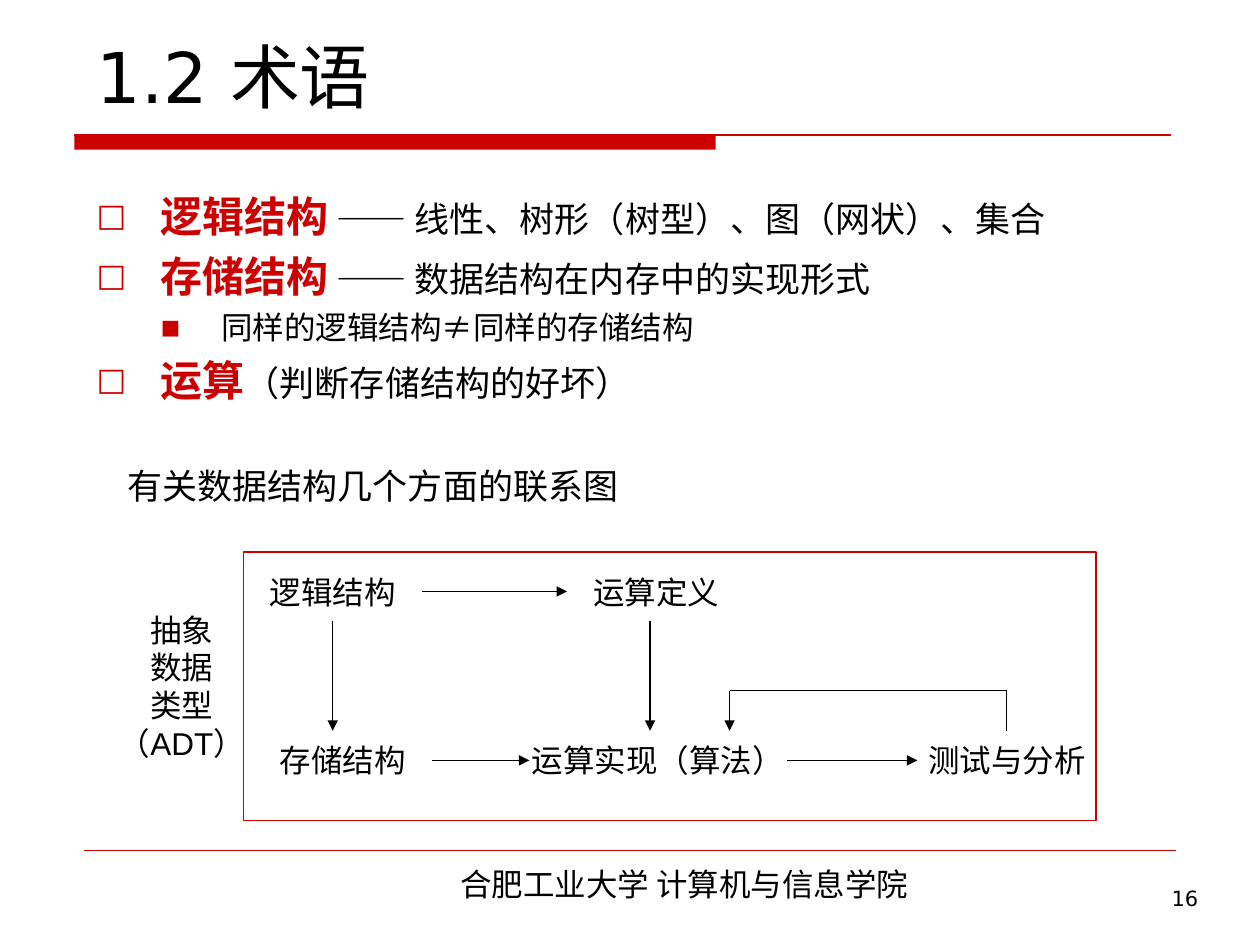
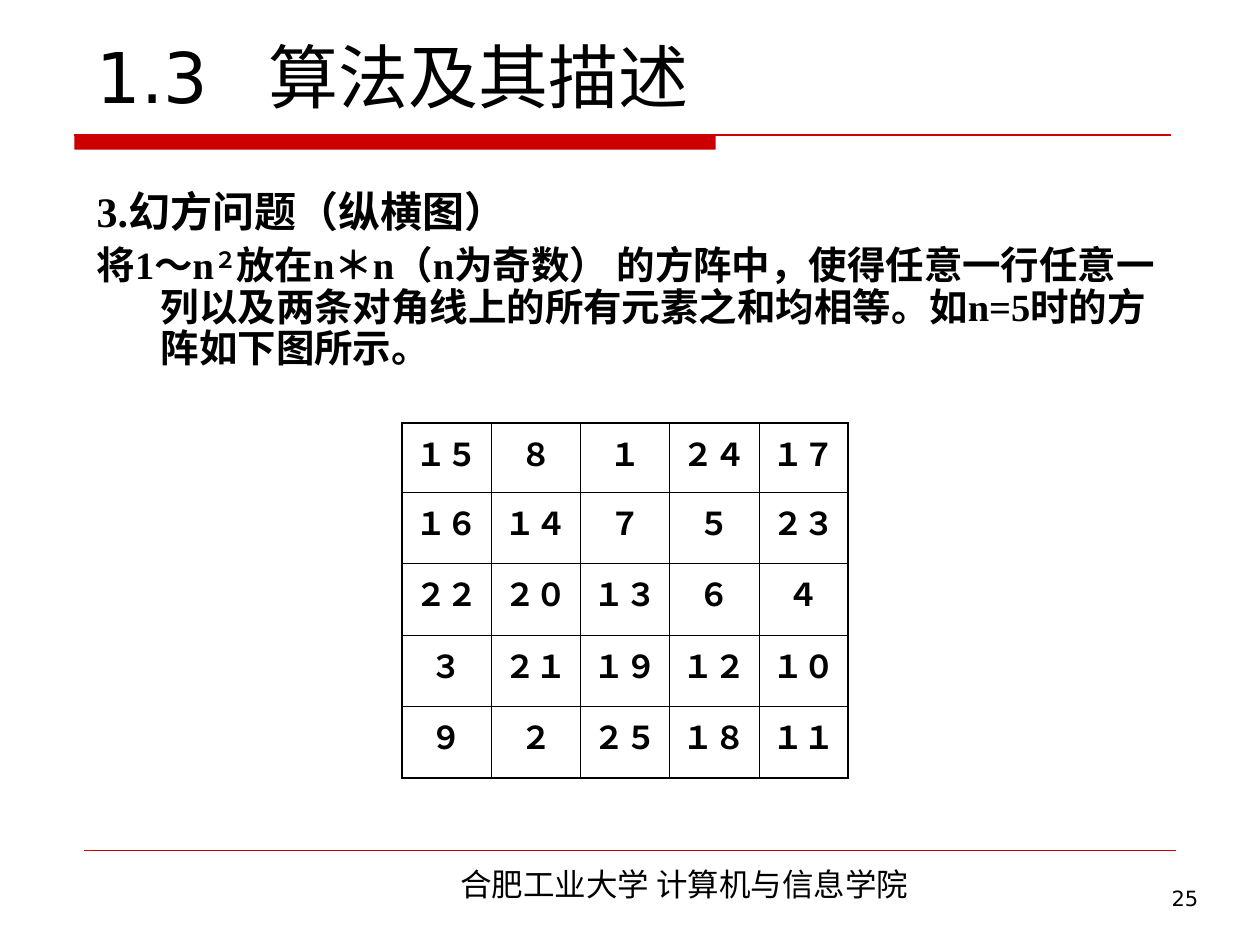
"""Builds two lecture slides on data structures: terminology and magic squares."""
from lxml.etree import SubElement
from pptx import Presentation
from pptx.dml.color import RGBColor
from pptx.enum.shapes import MSO_CONNECTOR as CONN, MSO_SHAPE as SHAPE
from pptx.enum.text import MSO_ANCHOR as ANCHOR, MSO_AUTO_SIZE as AUTO, PP_ALIGN as ALIGN
from pptx.oxml.ns import qn
from pptx.util import Pt

RED = RGBColor(0xCC, 0x00, 0x00)
BLACK = RGBColor(0x00, 0x00, 0x00)
SANS, SERIF, LABEL, CJK = "DejaVu Sans", "Times New Roman", "Arial", "Noto Sans CJK SC"
TOP, LEFT, BOTTOM, RIGHT = range(4)
LEADING = 1.2
HANG = 36.72
FOOTER = "合肥工业大学 计算机与信息学院"


class Deck:
    def __init__(self):
        self.prs = Presentation()
        self.prs.slide_width, self.prs.slide_height = Pt(720), Pt(540)
        self.s = None

    def slide(self, title, number):
        self.s = self.prs.slides.add_slide(self.prs.slide_layouts[1])
        self.rect(42.5, 77, 366.5, 8.6, fill=RED)
        self.line((42.5, 77.2), (669, 77.2), RED)
        self.line((48, 486), (672, 486), RED, 0.25)
        self.text(FOOTER, 172.8, 491, 436.3, 28.8, CJK)
        self.text(number, 535.7, 502.6, 156.2, 37.4, SANS, 12, ALIGN.RIGHT)
        self.title(title)

    def style(self, r, font, size, color=BLACK, bold=False):
        f = r.font
        f.name, f.size, f.bold = font, Pt(size), bold
        f.color.rgb = color
        SubElement(r._r.get_or_add_rPr(), qn("a:ea")).set("typeface", CJK)

    def place(self, sp, x, y, w, h):
        sp.left, sp.top, sp.width, sp.height = Pt(x), Pt(y), Pt(w), Pt(h)
        sp.text_frame.auto_size = AUTO.NONE
        sp.text_frame.word_wrap = True
        return sp.text_frame

    def title(self, text):
        tf = self.place(self.s.shapes.title, 48, -25, 630, 95.5)
        tf.vertical_anchor = ANCHOR.BOTTOM
        tf.text = text
        p = tf.paragraphs[0]
        p.alignment = ALIGN.LEFT
        tabs = SubElement(p._p.get_or_add_pPr(), qn("a:tabLst"))
        tab = SubElement(tabs, qn("a:tab"))
        tab.set("pos", str(Pt(98.5)))
        tab.set("algn", "l")
        self.style(p.runs[0], SANS, 40)

    def body(self, height):
        tf = self.place(self.s.placeholders[1], 48, 105.5, 629.3, height)
        tf.vertical_anchor = ANCHOR.TOP
        return tf

    def item(self, tf, runs, before, leading=LEADING, left=HANG, hang=HANG,
             bullet=None, percent=75, level=0):
        first = not tf.paragraphs[0].runs
        p = tf.paragraphs[0] if first else tf.add_paragraph()
        p.level = level
        p.alignment = ALIGN.LEFT
        p.space_before = Pt(0 if first else before)
        p.line_spacing = Pt(runs[0][1] * leading)
        pPr = p._p.get_or_add_pPr()
        pPr.set("marL", str(Pt(left)))
        pPr.set("indent", str(Pt(-hang)))
        if bullet:
            clr = SubElement(pPr, qn("a:buClr"))
            SubElement(clr, qn("a:srgbClr")).set("val", str(RED))
            SubElement(pPr, qn("a:buSzPct")).set("val", str(percent * 1000))
            SubElement(pPr, qn("a:buFont")).set("typeface", SANS)
            SubElement(pPr, qn("a:buChar")).set("char", bullet)
        else:
            SubElement(pPr, qn("a:buNone"))
        for text, size, color, bold in runs:
            r = p.add_run()
            r.text = text
            self.style(r, SERIF, size, color, bold)
        return p

    def text(self, text, x, y, w, h, font=LABEL, size=18, align=ALIGN.CENTER, middle=False):
        sp = self.s.shapes.add_textbox(Pt(x), Pt(y), Pt(w), Pt(h))
        tf = sp.text_frame
        tf.word_wrap = True
        if middle:
            tf.vertical_anchor = ANCHOR.MIDDLE
            tf.margin_left = tf.margin_right = 0
        tf.text = text
        for p in tf.paragraphs:
            p.alignment = align
            p.line_spacing = Pt(size * LEADING)
            self.style(p.runs[0], font, size)
        return sp

    def rect(self, x, y, w, h, fill=None, line=None):
        sp = self.s.shapes.add_shape(SHAPE.RECTANGLE, Pt(x), Pt(y), Pt(w), Pt(h))
        sp.shadow.inherit = False
        for part, color in ((sp.fill, fill), (sp.line.fill, line)):
            if color is None:
                part.background()
            else:
                part.solid()
                part.fore_color.rgb = color
        if line is not None:
            sp.line.width = Pt(0.75)

    def line(self, start, end, color=BLACK, width=0.75, arrow=False, begin=None, finish=None):
        c = self.s.shapes.add_connector(CONN.STRAIGHT, *map(Pt, (*start, *end)))
        c.line.color.rgb = color
        c.line.width = Pt(width)
        if arrow:
            SubElement(c.line._get_or_add_ln(), qn("a:tailEnd")).set("type", "triangle")
        SubElement(c._element.spPr, qn("a:effectLst"))
        if begin:
            c.begin_connect(*begin)
        if finish:
            c.end_connect(*finish)

    def border(self, cell, side, width):
        ln = SubElement(cell._tc.get_or_add_tcPr(), qn("a:ln" + side))
        ln.set("w", str(Pt(width)))
        fill = SubElement(ln, qn("a:solidFill"))
        SubElement(fill, qn("a:srgbClr")).set("val", str(BLACK))

    def table(self, rows, x, y, col_w, heights):
        n, m = len(rows), len(rows[0])
        t = self.s.shapes.add_table(n, m, Pt(x), Pt(y), Pt(col_w * m), Pt(sum(heights))).table
        t.first_row = t.horz_banding = False
        for col in t.columns:
            col.width = Pt(col_w)
        for i, values in enumerate(rows):
            t.rows[i].height = Pt(heights[i])
            for j, value in enumerate(values):
                cell = t.cell(i, j)
                outer = {"L": j == 0, "R": j == m - 1, "T": i == 0, "B": i == n - 1}
                for side, edge in outer.items():
                    self.border(cell, side, 1.08 if edge else 0.45)
                cell.fill.background()
                cell.text = value
                p = cell.text_frame.paragraphs[0]
                p.alignment = ALIGN.CENTER
                self.style(p.runs[0], SERIF, 18, bold=True)


def terms(d):
    d.slide("1.2 术语", "16")
    tf = d.body(336.2)

    def term(name, rest):
        d.item(tf, [(name, 24, RED, True), (rest, 20, BLACK, False)], 5, bullet="□")

    term("逻辑结构", " —— 线性、树形（树型）、图（网状）、集合")
    term("存储结构", " —— 数据结构在内存中的实现形式")
    d.item(tf, [("同样的逻辑结构≠同样的存储结构", 18, BLACK, False)], 4.5,
           left=71.3, hang=34.6, bullet="■", percent=65, level=1)
    term("运算", "（判断存储结构的好坏）")
    d.item(tf, [("有关数据结构几个方面的联系图", 20, BLACK, False)], 34, left=17.7, hang=0)

    def label(text, x, y, w=102.2):
        return d.text(text, x, y, w, 33.8, middle=True)

    upper, lower = 321.1, 417.6
    logic = label("逻辑结构", 139, upper)
    analysis = label("测试与分析", 524.2, lower)
    algorithm = label("运算实现（算法）", 302.5, lower, 147)
    storage = label("存储结构", 144.7, lower)
    definition = label("运算定义", 324, upper)

    for a, b in ((logic, definition), (storage, algorithm), (algorithm, analysis)):
        d.line((0, 0), (0, 0), arrow=True, begin=(a, RIGHT), finish=(b, LEFT))
    d.line((190.1, 355), (190.1, lower), arrow=True, begin=(logic, BOTTOM))
    d.line((371.5, 355), (371.5, lower), arrow=True)
    loop_y, loop_left, loop_right = 394.6, 416.9, 575.3
    d.line((loop_right, loop_y), (loop_right, lower), finish=(analysis, TOP))
    d.line((loop_right, loop_y), (loop_left, loop_y))
    d.line((loop_left, loop_y), (loop_left, lower), arrow=True)
    d.rect(139, 315.4, 487.4, 153.4, line=RED)
    d.text("抽象\n数据\n类型\n（ADT）", 60, 315.4, 88, 153.4, middle=True)


def magic_square(d):
    d.slide("1.3\t算法及其描述", "25")
    tf = d.body(113)
    tight = LEADING * 0.9
    d.item(tf, [("3.幻方问题（纵横图）", 24, BLACK, True)], 6, tight)
    parts = ("将1～n", "２", "放在n＊n（n为奇数） 的方阵中，使得任意一行任意一列以及两条对角线上的"
             "所有元素之和均相等。如n=5时的方阵如下图所示。")
    p = d.item(tf, [(part, 22, BLACK, True) for part in parts], 5.5, tight)
    p.runs[1].font._element.set("baseline", "30000")
    square = ["１５ ８ １ ２４ １７", "１６ １４ ７ ５ ２３", "２２ ２０ １３ ６ ４",
              "３ ２１ １９ １２ １０", "９ ２ ２５ １８ １１"]
    d.table([row.split() for row in square], 229.7, 241.8, 51, [39.6] + [40.8] * 4)


def main():
    d = Deck()
    terms(d)
    magic_square(d)
    d.prs.save("out.pptx")


if __name__ == "__main__":
    main()
